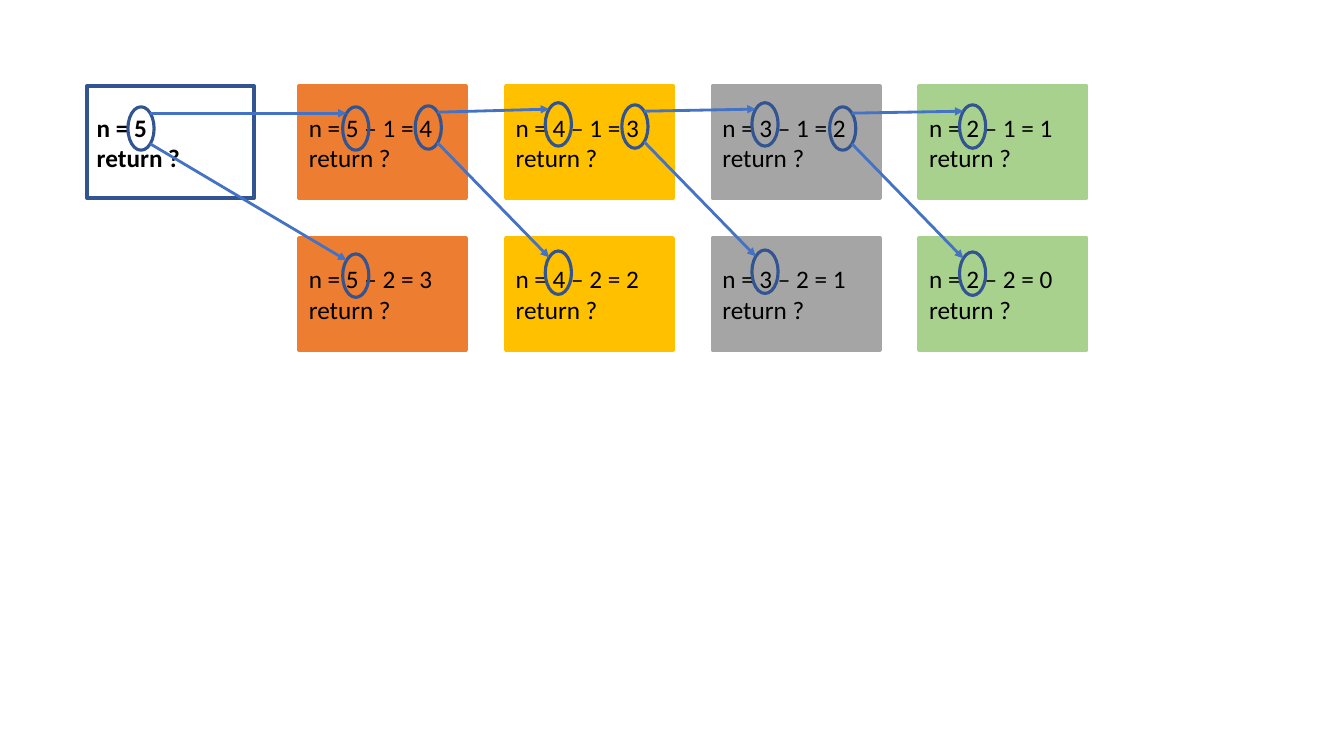
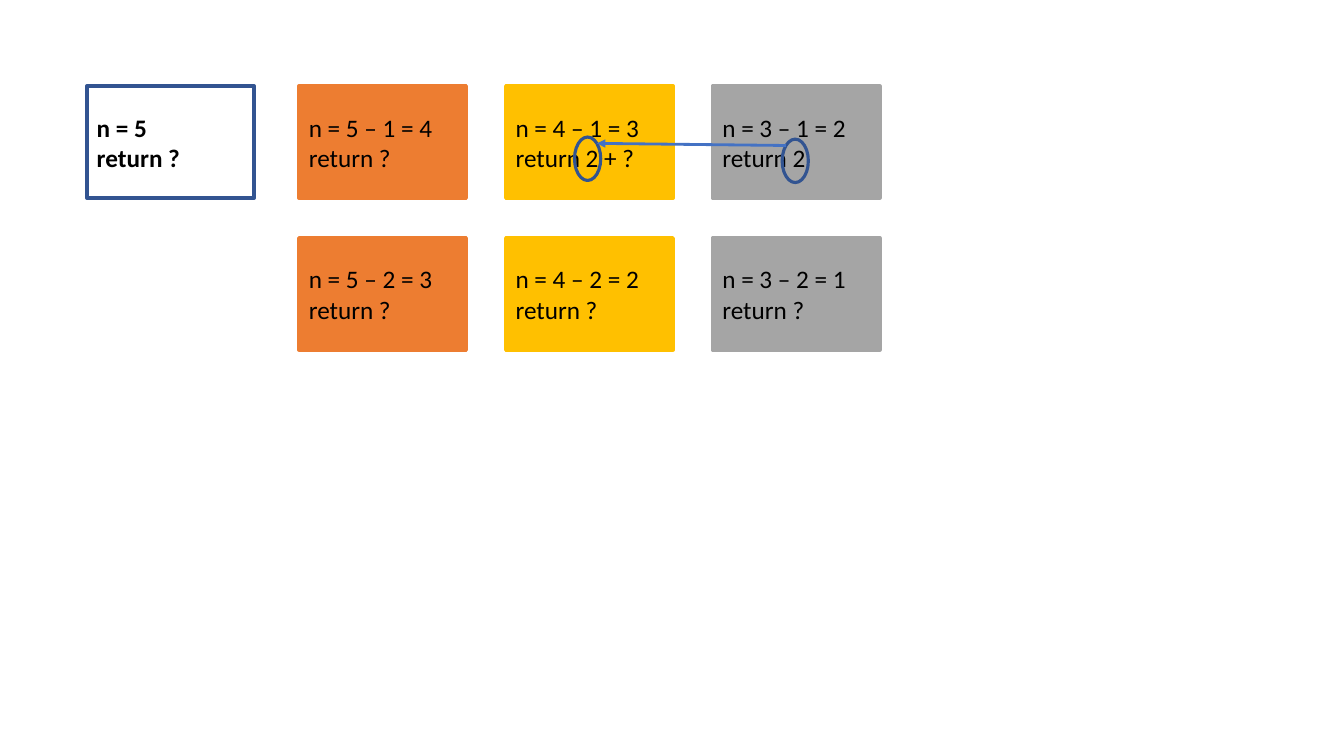
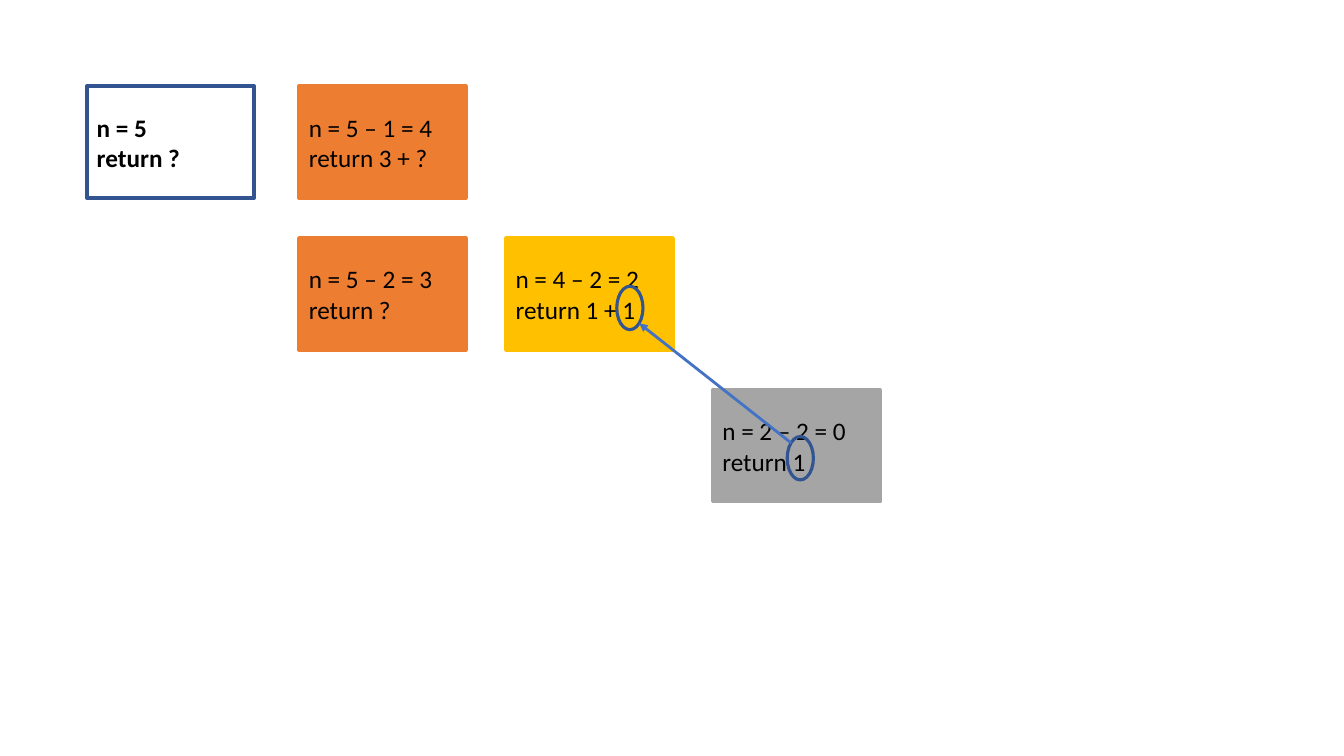
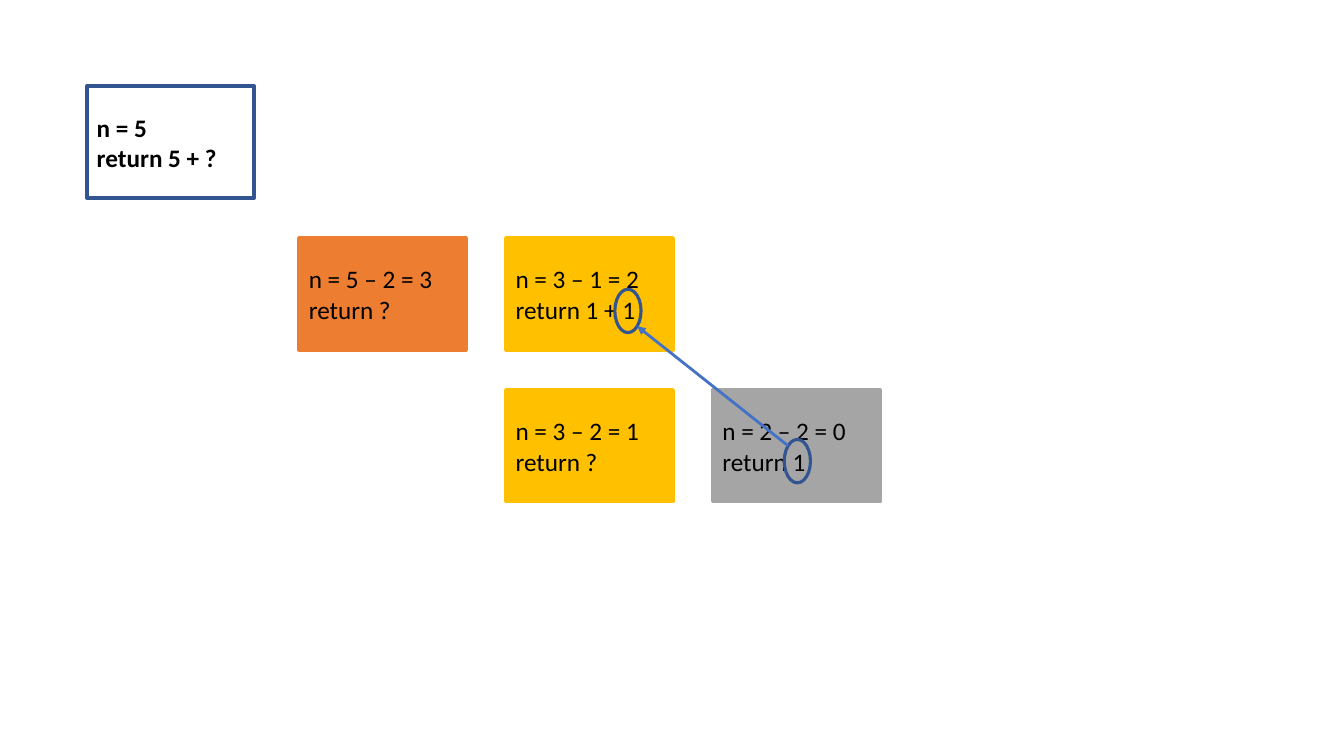
from dataclasses import dataclass
from math import sqrt

from lxml import etree
from pptx import Presentation
from pptx.dml.color import RGBColor
from pptx.enum.shapes import MSO_CONNECTOR, MSO_SHAPE
from pptx.enum.text import MSO_ANCHOR, PP_ALIGN
from pptx.oxml.ns import qn
from pptx.util import Pt

RECT, OVAL = MSO_SHAPE.RECTANGLE, MSO_SHAPE.OVAL
STRAIGHT = MSO_CONNECTOR.STRAIGHT
LEFT, MIDDLE = PP_ALIGN.LEFT, MSO_ANCHOR.MIDDLE


@dataclass(frozen=True)
class Theme:
    """Colours, type and line sizes shared by all slides."""
    font: str = "Calibri"
    size: float = 18
    text: str = "000000"
    outline: str = "325491"
    arrow: str = "4472C4"
    levels: tuple = (None, "ED7D31", "FFC000", "A5A5A5", "A9D18E")
    card_line: float = 2.5
    ring_line: float = 2.25
    arrow_line: float = 2


T = Theme()
CARD_W, CARD_H = 119.6, 79.9
RING_W, RING_H = 18.7, 31
ROOT_X, LEVEL_X, LEVEL_STEP = 62, 213.5, 147.7
TOP, ROW_STEP = 61.5, 108.5

CALLS = {
    (0, 0): "n = 5",
    (1, 0): "n = 5 – 1 = 4", (1, 1): "n = 5 – 2 = 3",
    (2, 0): "n = 4 – 1 = 3", (2, 1): "n = 4 – 2 = 2",
    (3, 0): "n = 3 – 1 = 2", (3, 1): "n = 3 – 2 = 1",
    (4, 0): "n = 2 – 1 = 1", (4, 1): "n = 2 – 2 = 0",
}
CALL_FORKS = [
    (((0, 0), 29.4, 14.8), [((1, 0), 31.3, 14.8), ((1, 1), 31.3, 11.4)]),
    (((1, 0), 83.1, 14.1), [((2, 0), 28.3, 11.9), ((2, 1), 28.3, 9.3)]),
    (((2, 0), 83, 13.4), [((3, 0), 28.2, 11.9), ((3, 1), 28.2, 8.6)]),
    (((3, 0), 83.7, 14.8), [((4, 0), 28.8, 13.4), ((4, 1), 28.8, 10)]),
]


def rgb(code):
    """Return the colour for a hex code."""
    return RGBColor.from_string(code)


def cell_origin(cell):
    """Return the left and top of the card at a (level, row) cell."""
    level, row = cell
    x = LEVEL_X + (level - 1) * LEVEL_STEP if level else ROOT_X
    return x, TOP + row * ROW_STEP


def add_outlined(s, kind, box, fill, line, width):
    """Add a preset shape with the given fill and outline."""
    sp = s.shapes.add_shape(kind, *map(Pt, box))
    sp.shadow.inherit = False
    if fill:
        sp.fill.solid()
        sp.fill.fore_color.rgb = rgb(fill)
    else:
        sp.fill.background()
    sp.line.color.rgb = rgb(line)
    sp.line.width = Pt(width)
    return sp


def add_card(s, cell, lines):
    """Add the card of one recursive call."""
    fill = T.levels[cell[0]]
    box = (*cell_origin(cell), CARD_W, CARD_H)
    tf = add_outlined(s, RECT, box, fill, fill or T.outline, T.card_line).text_frame
    tf.word_wrap = True
    tf.vertical_anchor = MIDDLE
    for i, line in enumerate(lines):
        p = tf.add_paragraph() if i else tf.paragraphs[0]
        p.alignment = LEFT
        r = p.add_run()
        r.text = line
        r.font.name = T.font
        r.font.size = Pt(T.size)
        r.font.bold = cell[0] == 0
        r.font.color.rgb = rgb(T.text)


def ring_box(ring):
    """Return the box of a ring given as (cell, dx, dy)."""
    cell, dx, dy = ring
    x, y = cell_origin(cell)
    return x + dx, y + dy, RING_W, RING_H


def ring_corner(ring, side_x, side_y):
    """Return the diagonal point of a ring on the given sides."""
    x, y, w, h = ring_box(ring)
    return x + w / 2 * (1 + side_x / sqrt(2)), y + h / 2 * (1 + side_y / sqrt(2))


def add_ring(s, ring):
    """Circle one number on a card."""
    add_outlined(s, OVAL, ring_box(ring), None, T.outline, T.ring_line)


def add_arrow(s, start, end):
    """Add a straight arrow between two points."""
    cx = s.shapes.add_connector(STRAIGHT, *map(Pt, start + end))
    cx.line.color.rgb = rgb(T.arrow)
    cx.line.width = Pt(T.arrow_line)
    etree.SubElement(cx.line._get_or_add_ln(), qn("a:tailEnd"), type="triangle")
    etree.SubElement(cx._element.spPr, qn("a:effectLst"))


def add_fork(s, caller, callees, returning):
    """Ring a caller and its callees and join them, back to the caller if returning."""
    for ring in (caller, *callees):
        add_ring(s, ring)
    for callee in callees:
        same_row = caller[0][1] == callee[0][1]
        ends = [ring_corner(caller, 1, -1 if same_row else 1), ring_corner(callee, -1, -1)]
        add_arrow(s, *(reversed(ends) if returning else ends))


def add_tree_slide(prs, cards, forks, returning=True):
    """Add one step of the recursion: cards first, then rings and arrows."""
    s = prs.slides.add_slide(prs.slide_layouts[6])
    for cell, (call, result) in cards.items():
        add_card(s, cell, (call, "return " + result))
    for caller, callees in forks:
        add_fork(s, caller, callees, returning)


def calls_with(results, last_level):
    """Pair the calls up to a level with their results, unknown unless given."""
    return {c: (t, results.get(c, "?")) for c, t in CALLS.items() if c[0] <= last_level}


def main():
    """Build the deck."""
    prs = Presentation()
    prs.slide_width, prs.slide_height = Pt(960), Pt(540)
    add_tree_slide(prs, calls_with({}, 4), CALL_FORKS, returning=False)
    add_tree_slide(
        prs, calls_with({(2, 0): "2 + ?", (3, 0): "2"}, 3),
        [(((2, 0), 49.2, 36.4), [((3, 0), 49.8, 37.9)])])
    add_tree_slide(
        prs,
        {**calls_with({(1, 0): "3 + ?"}, 1),
         (2, 1): (CALLS[2, 1], "1 + 1"),
         (3, 2): ("n = 2 – 2 = 0", "1")},
        [(((2, 1), 79.4, 34.5), [((3, 2), 53.4, 33.3)])])
    add_tree_slide(
        prs,
        {**calls_with({(0, 0): "5 + ?"}, 0),
         (1, 1): (CALLS[1, 1], "?"),
         (2, 1): ("n = 3 – 1 = 2", "1 + 1"),
         (3, 2): ("n = 2 – 2 = 0", "1"),
         (2, 2): ("n = 3 – 2 = 1", "?")},
        [(((2, 1), 78, 36.6), [((3, 2), 51.3, 35.4)])])
    prs.save("out.pptx")


if __name__ == "__main__":
    main()
